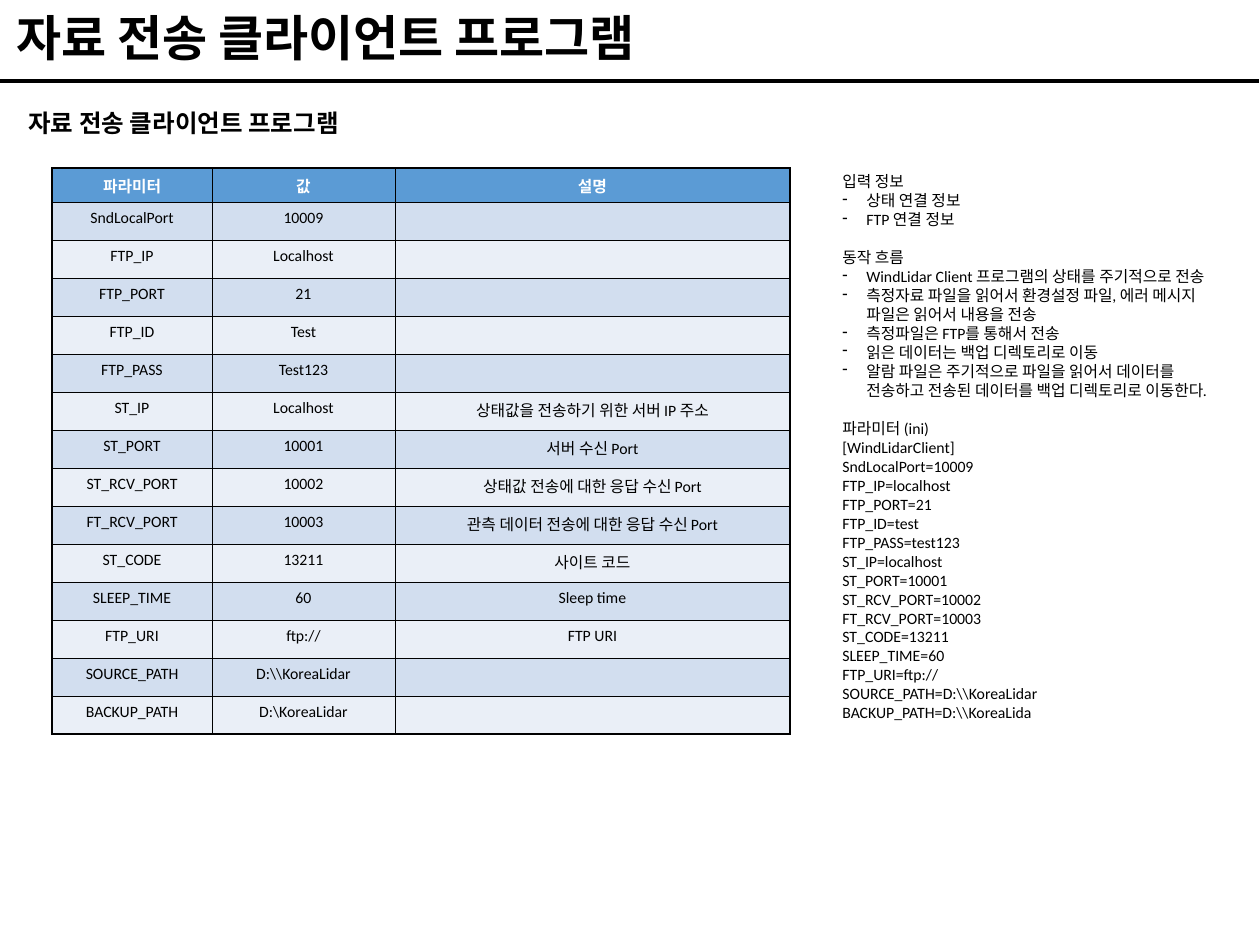
from lxml import etree
from pptx import Presentation
from pptx.dml.color import RGBColor
from pptx.enum.shapes import MSO_CONNECTOR
from pptx.enum.text import MSO_ANCHOR, PP_ALIGN
from pptx.oxml.ns import qn
from pptx.util import Emu, Pt

PX = 914400 // 126
STRAIGHT = MSO_CONNECTOR.STRAIGHT
TOP, BOTTOM = MSO_ANCHOR.TOP, MSO_ANCHOR.BOTTOM
LEFT, CENTER = PP_ALIGN.LEFT, PP_ALIGN.CENTER

COLORS = {
    "black": "000000",
    "white": "FFFFFF",
    "header": "5B9BD5",
    "odd": "D2DEEF",
    "even": "EAEFF7",
}

TITLE = "자료 전송 클라이언트 프로그램"

PARAMETERS = [
    ("파라미터", "값", "설명"),
    ("SndLocalPort", "10009", ""),
    ("FTP_IP", "Localhost", ""),
    ("FTP_PORT", "21", ""),
    ("FTP_ID", "Test", ""),
    ("FTP_PASS", "Test123", ""),
    ("ST_IP", "Localhost", "상태값을 전송하기 위한 서버 IP 주소"),
    ("ST_PORT", "10001", "서버 수신 Port"),
    ("ST_RCV_PORT", "10002", "상태값 전송에 대한 응답 수신 Port"),
    ("FT_RCV_PORT", "10003", "관측 데이터 전송에 대한 응답 수신 Port"),
    ("ST_CODE", "13211", "사이트 코드"),
    ("SLEEP_TIME", "60", "Sleep time"),
    ("FTP_URI", "ftp://", "FTP URI"),
    ("SOURCE_PATH", r"D:\\KoreaLidar", ""),
    ("BACKUP_PATH", r"D:\KoreaLidar", ""),
]

# Each section: heading, bulleted lines, plain lines
SECTIONS = [
    ("입력 정보", ["상태 연결 정보", "FTP 연결 정보"], []),
    ("동작 흐름", [
        "WindLidar Client 프로그램의 상태를 주기적으로 전송",
        "측정자료 파일을 읽어서 환경설정 파일, 에러 메시지 파일은 읽어서 내용을 전송",
        "측정파일은 FTP를 통해서 전송",
        "읽은 데이터는 백업 디렉토리로 이동",
        "알람 파일은 주기적으로 파일을 읽어서 데이터를 전송하고 전송된 데이터를 백업 디렉토리로 이동한다.",
    ], []),
    ("파라미터 (ini)", [], [
        "[WindLidarClient]",
        "SndLocalPort=10009",
        "FTP_IP=localhost",
        "FTP_PORT=21",
        "FTP_ID=test",
        "FTP_PASS=test123",
        "ST_IP=localhost",
        "ST_PORT=10001",
        "ST_RCV_PORT=10002",
        "FT_RCV_PORT=10003",
        "ST_CODE=13211",
        "SLEEP_TIME=60",
        "FTP_URI=ftp://",
        r"SOURCE_PATH=D:\\KoreaLidar",
        r"BACKUP_PATH=D:\\KoreaLida",
    ]),
]


def px(n):
    return Emu(n * PX)


def rgb(name):
    return RGBColor.from_string(COLORS[name])


def write(p, text, size=9, font="Calibri", color="black", bold=False,
          align=LEFT, spacing=None, before=0, bullet=None):
    """Fill one paragraph; an empty text only keeps the line size."""
    p.alignment = align
    p.space_before = Pt(before)
    if spacing:
        p.line_spacing = spacing
    if bullet:
        pPr = p._p.get_or_add_pPr()
        pPr.set("marL", str(px(24)))
        pPr.set("indent", str(px(-24)))
        etree.SubElement(pPr, qn("a:buChar")).set("char", bullet)
    if not text:
        etree.SubElement(p._p, qn("a:endParaRPr")).set("sz", str(size * 100))
        return
    r = p.add_run()
    r.text = text
    r.font.size = Pt(size)
    r.font.name = font
    r.font.bold = bold
    r.font.color.rgb = rgb(color)


def set_border(cell, side, width):
    ln = etree.SubElement(cell._tc.get_or_add_tcPr(), qn(f"a:ln{side}"))
    ln.set("w", str(Pt(width)))
    fill = etree.SubElement(ln, qn("a:solidFill"))
    etree.SubElement(fill, qn("a:srgbClr")).set("val", COLORS["black"])


class SlideBuilder:
    def __init__(self, slide):
        self.slide = slide

    def line(self, x1, y1, x2, y2, width):
        sp = self.slide.shapes.add_connector(
            STRAIGHT, px(x1), px(y1), px(x2), px(y2))
        sp.line.color.rgb = rgb("black")
        sp.line.width = Pt(width)
        etree.SubElement(sp._element.spPr, qn("a:effectLst"))

    def frame(self, x, y, w, h, anchor=TOP, wrap=True):
        sp = self.slide.shapes.add_textbox(px(x), px(y), px(w), px(h))
        tf = sp.text_frame
        tf.word_wrap = wrap
        tf.vertical_anchor = anchor
        return tf

    def text(self, box, text, anchor=TOP, wrap=True, **fmt):
        write(self.frame(*box, anchor, wrap).paragraphs[0], text, **fmt)

    def sections(self, box, sections, gap):
        tf = self.frame(*box)
        for i, (heading, bullets, lines) in enumerate(sections):
            p = tf.add_paragraph() if i else tf.paragraphs[0]
            write(p, heading, before=gap if i else 0)
            for text in bullets:
                write(tf.add_paragraph(), text, bullet="-")
            for text in lines:
                write(tf.add_paragraph(), text)

    def table(self, x, y, widths, header_h, row_h, rows):
        heights = [header_h] + [row_h] * (len(rows) - 1)
        table = self.slide.shapes.add_table(
            len(rows), len(widths), px(x), px(y),
            px(sum(widths)), px(sum(heights))).table
        for column, w in zip(table.columns, widths):
            column.width = px(w)
        last_row, last_col = len(rows) - 1, len(widths) - 1
        for i, values in enumerate(rows):
            table.rows[i].height = px(heights[i])
            fill = "header" if i == 0 else "odd" if i % 2 else "even"
            for j, text in enumerate(values):
                cell = table.cell(i, j)
                write(cell.text_frame.paragraphs[0], text, align=CENTER,
                      color="black" if i else "white", bold=i == 0)
                outer = {"L": j == 0, "R": j == last_col,
                         "T": i == 0, "B": i == last_row}
                for side, is_outer in outer.items():
                    set_border(cell, side, 1 if is_outer else 0.5)
                cell.fill.solid()
                cell.fill.fore_color.rgb = rgb(fill)


def main():
    prs = Presentation()
    prs.slide_width, prs.slide_height = px(1260), px(945)
    s = SlideBuilder(prs.slides.add_slide(prs.slide_layouts[6]))
    s.line(0, 81, 1259, 81, width=2.25)
    s.text((4, 4, 1251, 69), TITLE, anchor=BOTTOM, size=28, bold=True,
           spacing=0.9)
    s.text((16, 102, 373, 43), TITLE, wrap=False, size=14, font="Arial",
           bold=True)
    s.sections((830, 166, 413, 566), SECTIONS, gap=10.9)
    s.table(52, 168, [160, 183, 395], 34, 38, PARAMETERS)
    prs.save("out.pptx")


if __name__ == "__main__":
    main()
